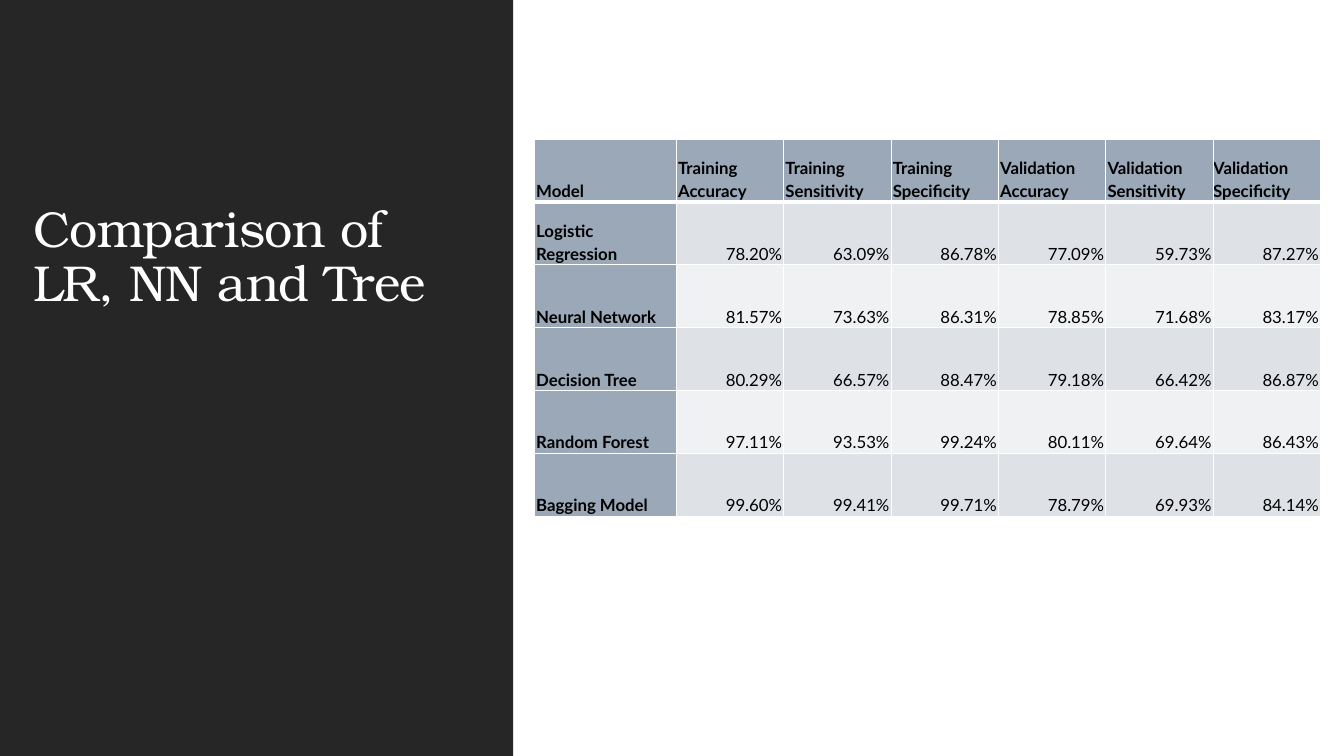
"""Build a slide that compares the scores of five models in a table."""
from dataclasses import dataclass

from lxml.etree import SubElement
from pptx import Presentation
from pptx.dml.color import RGBColor
from pptx.enum.shapes import MSO_SHAPE
from pptx.enum.text import MSO_ANCHOR, MSO_AUTO_SIZE, PP_ALIGN
from pptx.oxml.ns import qn
from pptx.util import Pt


@dataclass(frozen=True)
class Theme:
    dark: RGBColor = RGBColor.from_string("262626")
    white: RGBColor = RGBColor.from_string("FFFFFF")
    black: RGBColor = RGBColor.from_string("000000")
    head: RGBColor = RGBColor.from_string("9BA8B7")
    bands: tuple = (RGBColor.from_string("EFF1F3"), RGBColor.from_string("DEE1E6"))
    title: Pt = Pt(36)
    body: Pt = Pt(12)
    serif: str = "TeX Gyre Bonum"
    sans: str = "Lato"


def apply(item, form):
    for name, value in form.items():
        setattr(item, name, value)


def edge(cell, side, width):
    line = SubElement(cell._tc.get_or_add_tcPr(), qn(f"a:ln{side}"), w=str(Pt(width)))
    fill = SubElement(line, qn("a:solidFill"))
    SubElement(fill, qn("a:srgbClr"), val=str(theme.white))


theme = Theme()
deck = Presentation()
apply(deck, {"slide_width": Pt(960), "slide_height": Pt(540)})
slide = deck.slides.add_slide(deck.slide_layouts[5])
shapes = slide.shapes

panel = shapes.add_shape(MSO_SHAPE.RECTANGLE, 0, 0, Pt(366.5), Pt(540))
panel.shadow.inherit = False
panel.fill.solid()
panel.fill.fore_color.rgb = theme.dark
panel.line.fill.background()

title = shapes.title
shapes._spTree.append(title._element)
apply(title, {"left": Pt(16.6), "top": Pt(62), "width": Pt(308), "height": Pt(165)})
frame = title.text_frame
frame.text = "Comparison of LR, NN and Tree"
apply(frame, {"word_wrap": True, "auto_size": MSO_AUTO_SIZE.NONE,
              "vertical_anchor": MSO_ANCHOR.BOTTOM})
para = frame.paragraphs[0]
apply(para, {"alignment": PP_ALIGN.LEFT, "line_spacing": 0.9})
run = para.runs[0]
apply(run.font, {"name": theme.serif, "size": theme.title})
run.font.color.rgb = theme.white
run._r.get_or_add_rPr().set("spc", "-50")

rows = [
    ["Model", "Training Accuracy", "Training Sensitivity", "Training Specificity",
     "Validation Accuracy", "Validation Sensitivity", "Validation Specificity"],
    ["Logistic Regression", "78.20%", "63.09%", "86.78%", "77.09%", "59.73%", "87.27%"],
    ["Neural Network", "81.57%", "73.63%", "86.31%", "78.85%", "71.68%", "83.17%"],
    ["Decision Tree", "80.29%", "66.57%", "88.47%", "79.18%", "66.42%", "86.87%"],
    ["Random Forest", "97.11%", "93.53%", "99.24%", "80.11%", "69.64%", "86.43%"],
    ["Bagging Model", "99.60%", "99.41%", "99.71%", "78.79%", "69.93%", "84.14%"],
]
last = len(rows[0]) - 1
grid = shapes.add_table(len(rows), last + 1, Pt(381.8), Pt(99.4),
                        Pt(561.6), Pt(269.4)).table
for c, col in enumerate(grid.columns):
    col.width = Pt(76.7 if c else 101.4)
for r, row in enumerate(rows):
    grid.rows[r].height = Pt(44.9)
    for c, text in enumerate(row):
        cell = grid.cell(r, c)
        label = r == 0 or c == 0
        side = Pt(0 if (r, c) == (0, last) else 1.2)
        apply(cell, {"text": text, "vertical_anchor": MSO_ANCHOR.BOTTOM,
                     "margin_left": side, "margin_right": side,
                     "margin_top": Pt(0.6), "margin_bottom": Pt(0.6)})
        for name, width in {"L": 1, "R": 1, "T": 3 if r == 1 else 1,
                            "B": 3 if r == 0 else 1}.items():
            edge(cell, name, width)
        cell.fill.solid()
        cell.fill.fore_color.rgb = theme.head if label else theme.bands[r % 2]
        para = cell.text_frame.paragraphs[0]
        apply(para, {"line_spacing": 1.15,
                     "alignment": PP_ALIGN.LEFT if label else PP_ALIGN.RIGHT})
        font = para.runs[0].font
        apply(font, {"name": theme.sans, "size": theme.body, "bold": label})
        font.color.rgb = theme.black

deck.save("out.pptx")
